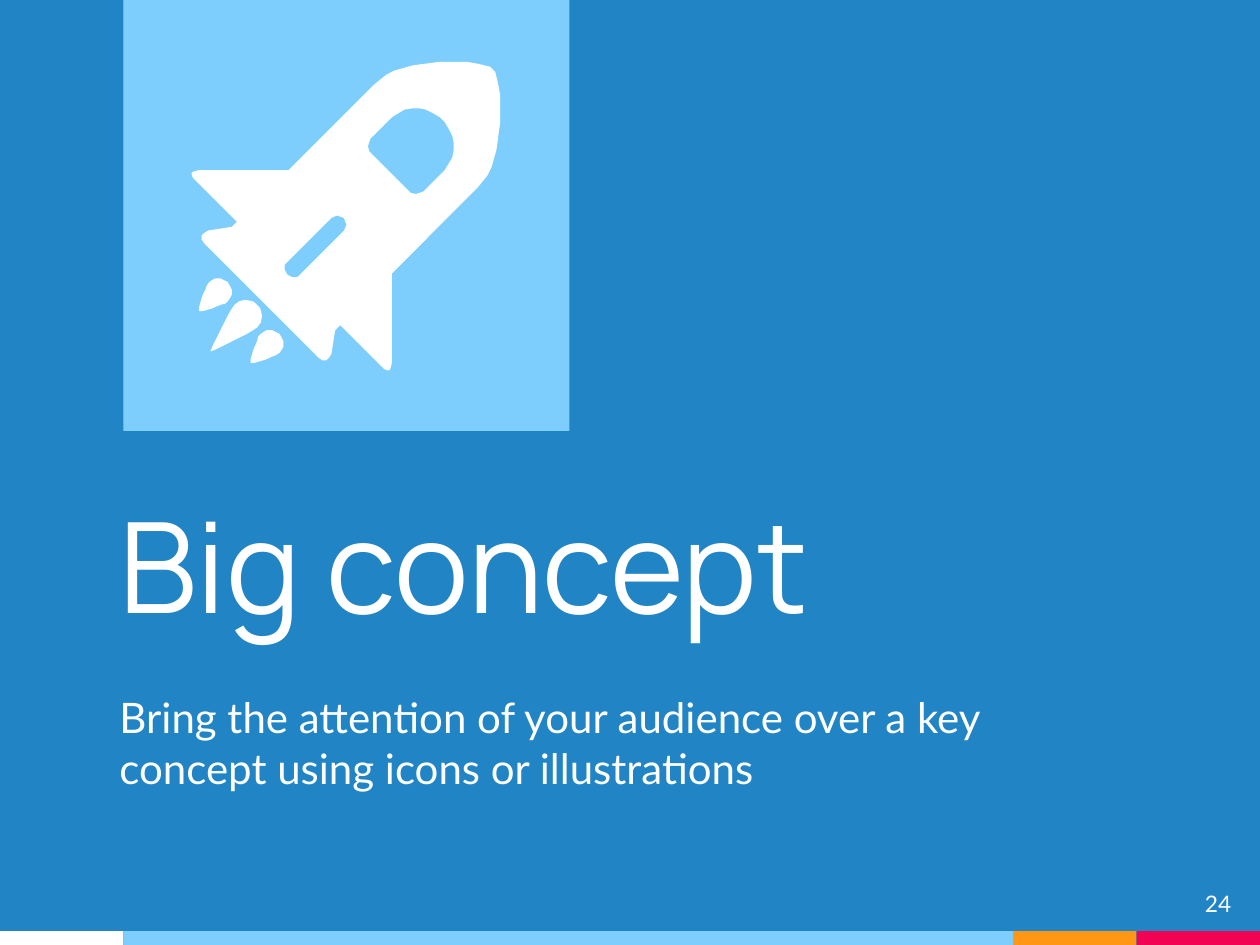
from dataclasses import dataclass
from itertools import accumulate

from pptx import Presentation
from pptx.dml.color import RGBColor
from pptx.enum.shapes import MSO_SHAPE
from pptx.enum.text import MSO_ANCHOR, MSO_AUTO_SIZE, PP_ALIGN
from pptx.shapes.base import BaseShape
from pptx.slide import Slide
from pptx.util import Inches, Pt

BLUE = RGBColor(0x21, 0x85, 0xC5)
SKY = RGBColor(0x7E, 0xCE, 0xFD)
ORANGE = RGBColor(0xFF, 0x97, 0x15)
PINK = RGBColor(0xF2, 0x02, 0x53)
WHITE = RGBColor(0xFF, 0xFF, 0xFF)

SLIDE_WIDTH, SLIDE_HEIGHT = 10, 7.5
STRIPE_TOP, STRIPE_HEIGHT = 7.39, 0.11
MARGIN = 0.98
TEXT_LEFT, TEXT_WIDTH = 0.85, 7.24
ROCKET_AXIS_SUM = 4.46

Point = tuple[float, float]
Outline = list[Point]


@dataclass(frozen=True)
class Box:
    left: float
    top: float
    width: float
    height: float


@dataclass(frozen=True)
class Stripe:
    share: float
    color: RGBColor


@dataclass(frozen=True)
class TextStyle:
    font: str
    size: float
    alignment: PP_ALIGN = PP_ALIGN.LEFT
    anchor: MSO_ANCHOR = MSO_ANCHOR.TOP
    space_before: float = 0


STRIPES = [
    Stripe(0.098, WHITE),
    Stripe(0.706, SKY),
    Stripe(0.098, ORANGE),
    Stripe(0.098, PINK),
]

HULL_HALF = [
    (3.91, 0.55), (3.89, 0.53), (3.85, 0.52), (3.81, 0.51), (3.76, 0.5),
    (3.7, 0.49), (3.57, 0.49), (3.49, 0.49), (3.42, 0.5), (3.34, 0.51),
    (3.27, 0.52), (3.2, 0.54), (3.13, 0.56), (3.07, 0.59), (3.02, 0.63),
    (2.97, 0.67), (2.29, 1.35), (1.58, 1.35), (1.54, 1.36), (1.52, 1.37),
    (1.52, 1.38), (1.53, 1.41), (1.55, 1.43), (1.88, 1.76), (1.84, 1.8),
    (1.65, 1.83), (1.62, 1.85), (1.6, 1.87), (1.6, 1.9), (1.62, 1.93),
]
WINDOW_HALF = [
    (3.51, 0.95), (3.49, 0.93), (3.44, 0.9), (3.38, 0.87), (3.33, 0.86),
    (3.27, 0.86), (3.21, 0.87), (3.16, 0.9), (3.11, 0.93), (2.96, 1.08),
    (2.94, 1.1), (2.93, 1.13), (2.92, 1.16), (2.93, 1.2), (2.96, 1.23),
]
SLOT_HALF = [
    (2.73, 1.73), (2.7, 1.72), (2.68, 1.71), (2.65, 1.72), (2.63, 1.73),
    (2.28, 2.08), (2.26, 2.1), (2.26, 2.14), (2.28, 2.18),
]
MIDDLE_FLAME_HALF = [
    (2.04, 2.42), (2.02, 2.4), (2, 2.39), (1.95, 2.38), (1.9, 2.39),
    (1.86, 2.42), (1.84, 2.45), (1.81, 2.5), (1.75, 2.62), (1.69, 2.74),
    (1.67, 2.79),
]
SIDE_FLAME = [
    (1.71, 2.21), (1.69, 2.22), (1.66, 2.24), (1.64, 2.27), (1.63, 2.3),
    (1.61, 2.34), (1.6, 2.37), (1.58, 2.44), (1.58, 2.47), (1.61, 2.47),
    (1.68, 2.45), (1.75, 2.42), (1.79, 2.41), (1.81, 2.39), (1.83, 2.36),
    (1.84, 2.34), (1.84, 2.3), (1.83, 2.28), (1.81, 2.24), (1.79, 2.23),
    (1.75, 2.21),
]


def mirror(outline: Outline) -> Outline:
    return [(ROCKET_AXIS_SUM - y, ROCKET_AXIS_SUM - x) for x, y in outline]


def complete(half: Outline) -> Outline:
    return half + mirror(half)[::-1]


def place(shape: BaseShape, box: Box) -> None:
    shape.left, shape.top = Inches(box.left), Inches(box.top)
    shape.width, shape.height = Inches(box.width), Inches(box.height)


def paint(shape: BaseShape, color: RGBColor) -> None:
    shape.fill.solid()
    shape.fill.fore_color.rgb = color
    shape.line.fill.background()
    shape.shadow.inherit = False


def add_block(slide: Slide, box: Box, color: RGBColor) -> None:
    shape = slide.shapes.add_shape(MSO_SHAPE.RECTANGLE, 0, 0, 0, 0)
    place(shape, box)
    paint(shape, color)


def add_stripes(slide: Slide) -> None:
    starts = accumulate((stripe.share for stripe in STRIPES), initial=0)
    for start, stripe in zip(starts, STRIPES):
        box = Box(start * SLIDE_WIDTH, STRIPE_TOP, stripe.share * SLIDE_WIDTH, STRIPE_HEIGHT)
        add_block(slide, box, stripe.color)


def add_rocket(slide: Slide) -> None:
    group = slide.shapes.add_group_shape()
    parts = [
        [complete(HULL_HALF), complete(WINDOW_HALF), complete(SLOT_HALF)],
        [complete(MIDDLE_FLAME_HALF)],
        [mirror(SIDE_FLAME)],
        [SIDE_FLAME],
    ]
    for outlines in parts:
        first, *holes = [[(Inches(x), Inches(y)) for x, y in outline] for outline in outlines]
        builder = group.shapes.build_freeform(*first[0])
        builder.add_line_segments(first[1:], close=True)
        for hole in holes:
            builder.move_to(*hole[0])
            builder.add_line_segments(hole[1:], close=True)
        paint(builder.convert_to_shape(), WHITE)


def write(shape: BaseShape, box: Box, text: str, style: TextStyle) -> None:
    place(shape, box)
    frame = shape.text_frame
    frame.text = text
    frame.word_wrap = True
    frame.auto_size = MSO_AUTO_SIZE.NONE
    frame.vertical_anchor = style.anchor
    frame.margin_left = frame.margin_right = Inches(0.1)
    frame.margin_top = frame.margin_bottom = Inches(0.1)
    paragraph = frame.paragraphs[0]
    paragraph.alignment = style.alignment
    paragraph.space_before = Pt(style.space_before)
    font = paragraph.runs[0].font
    font.name, font.size = style.font, Pt(style.size)
    font.color.rgb = WHITE


def add_text(slide: Slide, box: Box, text: str, style: TextStyle) -> None:
    write(slide.shapes.add_textbox(0, 0, 0, 0), box, text, style)


def main() -> None:
    presentation = Presentation()
    presentation.slide_width = Inches(SLIDE_WIDTH)
    presentation.slide_height = Inches(SLIDE_HEIGHT)
    slide = presentation.slides.add_slide(presentation.slide_layouts.get_by_name("Title Only"))
    slide.background.fill.solid()
    slide.background.fill.fore_color.rgb = BLUE

    add_stripes(slide)
    add_block(slide, Box(MARGIN, 0, 3.54, 3.42), SKY)
    write(slide.shapes.title, Box(TEXT_LEFT, 3.48, TEXT_WIDTH, 1.69), "Big concept",
          TextStyle("Manrope", 72, anchor=MSO_ANCHOR.BOTTOM))
    add_text(slide, Box(TEXT_LEFT, 5.39, TEXT_WIDTH, 1.14),
             "Bring the attention of your audience over a key concept using icons or illustrations",
             TextStyle("Lato", 24, space_before=6))
    add_rocket(slide)
    add_text(slide, Box(9.27, 6.96, 0.6, 0.46), "24",
             TextStyle("Lato", 13, alignment=PP_ALIGN.RIGHT))
    presentation.save("out.pptx")


if __name__ == "__main__":
    main()
